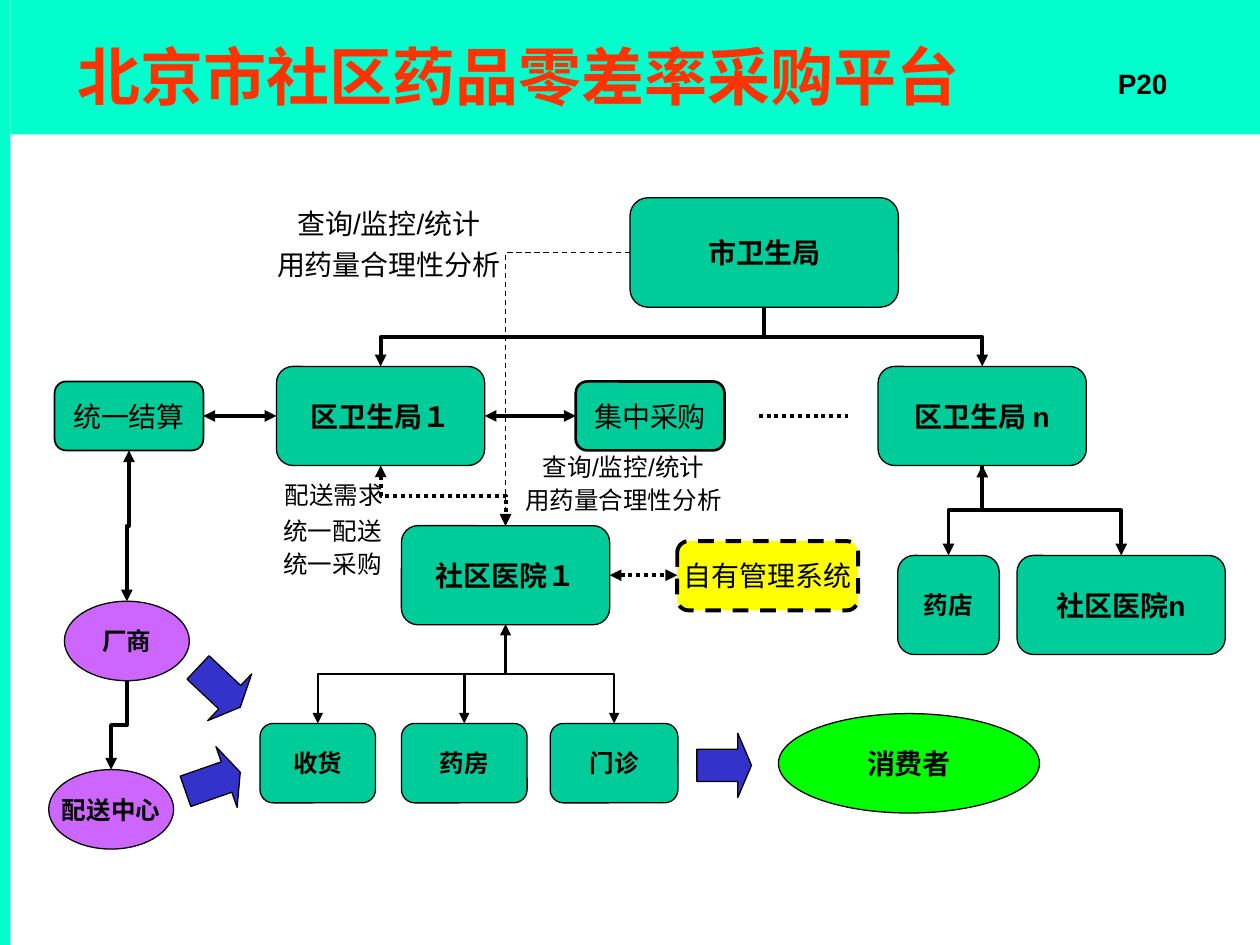
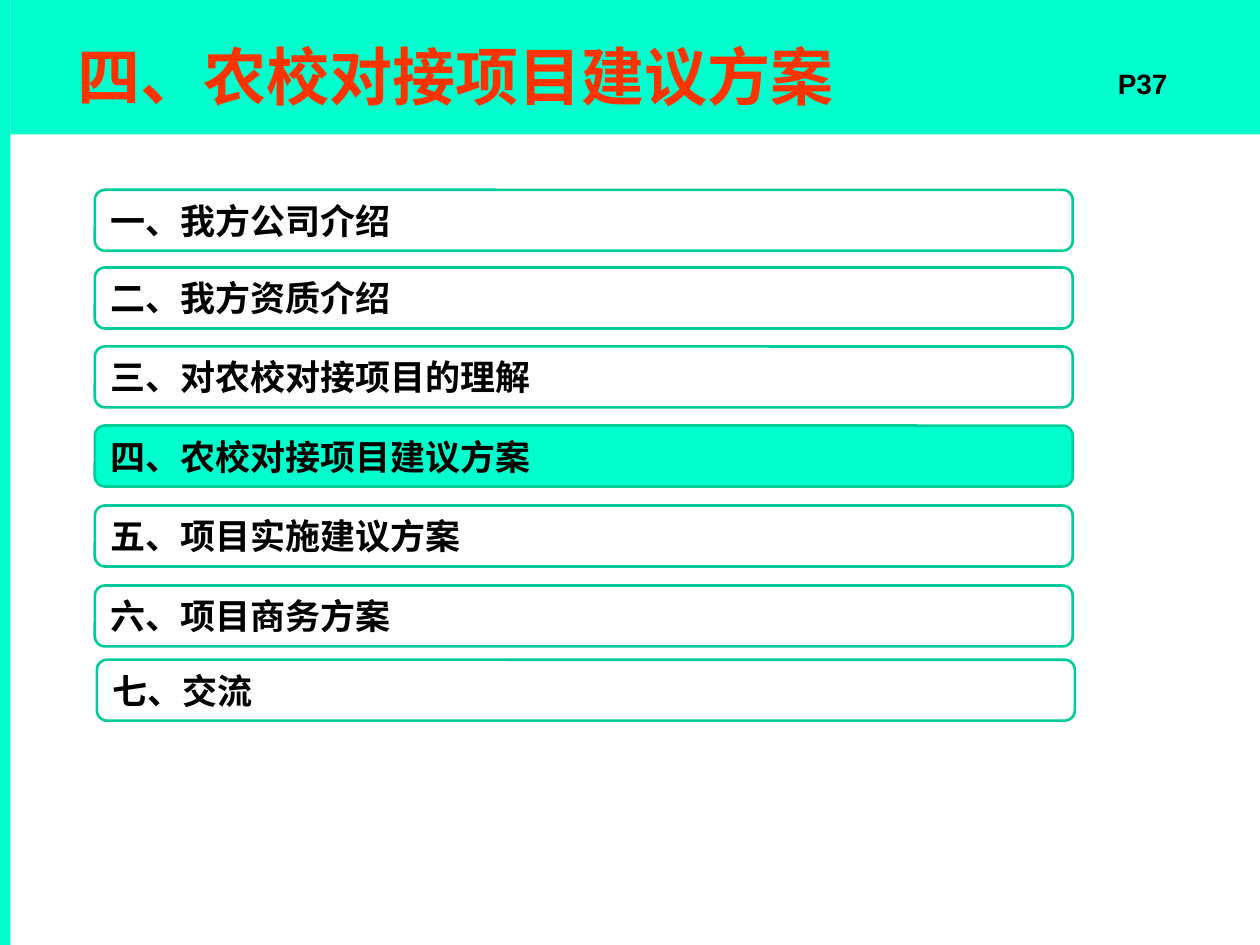
from dataclasses import dataclass

from lxml import etree
from pptx import Presentation
from pptx.dml.color import RGBColor
from pptx.enum.dml import MSO_LINE
from pptx.enum.shapes import MSO_CONNECTOR, MSO_SHAPE
from pptx.enum.text import MSO_ANCHOR, MSO_AUTO_SIZE, PP_ALIGN
from pptx.oxml.ns import qn
from pptx.util import Pt

RECT, ROUND = MSO_SHAPE.RECTANGLE, MSO_SHAPE.ROUNDED_RECTANGLE
OVAL, ARROW = MSO_SHAPE.OVAL, MSO_SHAPE.RIGHT_ARROW
STRAIGHT, ELBOW = MSO_CONNECTOR.STRAIGHT, MSO_CONNECTOR.ELBOW
DASH, DOT = MSO_LINE.DASH, MSO_LINE.ROUND_DOT
LEFT, CENTER = PP_ALIGN.LEFT, PP_ALIGN.CENTER
TOP, MIDDLE = MSO_ANCHOR.TOP, MSO_ANCHOR.MIDDLE
TITLE_ONLY = 5


@dataclass(frozen=True)
class Theme:
    band: str = "00FFCC"
    title: str = "FF3300"
    ink: str = "000000"
    unit: str = "00CC99"
    supplier: str = "CC66FF"
    consumer: str = "00FF00"
    own_system: str = "FFFF00"
    flow: str = "3333CC"
    latin: str = "Arial"
    cjk: str = "Noto Sans CJK SC"
    title_size: int = 36
    agenda_size: int = 20
    large: int = 16
    small: int = 14


THEME = Theme()

# Content: procurement platform
PLATFORM_TITLE, PLATFORM_PAGE = "北京市社区药品零差率采购平台", "P20"

# text: (left, top, width, height), then whatever differs from a bold green box
UNITS = {
    "市卫生局": ((360, 113, 153.4, 62.6), {}),
    "区卫生局１": ((158, 209.4, 119, 56.6), {}),
    "区卫生局 n": ((501.8, 209.4, 119, 56.6), {}),
    "社区医院n": ((581.2, 317.4, 119, 56.6), {}),
    "社区医院１": ((229.4, 300.4, 119, 56.6), {}),
    "药店": ((513, 317.4, 58, 56.6), {"size": THEME.small}),
    "收货": ((148.6, 413.4, 66, 45.4), {"size": THEME.small}),
    "药房": ((229.4, 413.4, 71.8, 45.4), {"size": THEME.small}),
    "门诊": ((314.4, 413.4, 73, 45.4), {"size": THEME.small}),
    "统一结算": ((31.2, 218, 85, 39.4), {"bold": False, "weight": 1}),
    "集中采购": ((329, 218, 85, 39.4), {"bold": False, "weight": 1.5}),
    "自有管理系统": ((387, 309.2, 103.4, 39.6), {
        "bold": False, "fill": THEME.own_system, "weight": 2.25, "dash": DASH}),
    "厂商": ((36.8, 343.6, 71.4, 45.4), {
        "kind": OVAL, "fill": THEME.supplier, "size": THEME.small}),
    "配送中心": ((27.8, 439.8, 71.4, 45.4), {
        "kind": OVAL, "fill": THEME.supplier, "size": THEME.small}),
    "消费者": ((444.8, 407.8, 149.2, 56.8), {"kind": OVAL, "fill": THEME.consumer}),
}

# (upper unit, lower unit, format), joined bottom to top
VERTICAL_LINKS = [
    ("市卫生局", "区卫生局１", {}),
    ("市卫生局", "区卫生局 n", {}),
    ("区卫生局 n", "社区医院n", {"both": True}),
    ("区卫生局 n", "药店", {}),
    ("区卫生局１", "社区医院１", {"both": True, "dash": DOT}),
    ("社区医院１", "收货", {"both": True, "weight": 1.5}),
    ("社区医院１", "药房", {"both": True, "weight": 1.5}),
    ("社区医院１", "门诊", {"both": True, "weight": 1.5}),
    ("统一结算", "厂商", {"both": True}),
    ("厂商", "配送中心", {}),
]

# (left unit, right unit, format), joined side to side
HORIZONTAL_LINKS = [
    ("统一结算", "区卫生局１", {}),
    ("区卫生局１", "集中采购", {}),
    ("社区医院１", "自有管理系统", {"dash": DOT}),
]

ELLIPSIS = ((433.6, 237.7), (484.8, 237.7))

# (left, top, width, height), rotation
FLOW_ARROWS = [
    ((108.7, 374.4, 33.1, 36.7), 43.2),
    ((105.1, 428.4, 33.1, 36.7), 340.8),
    ((398.2, 419, 31.2, 36.7), 0),
]

LARGE_NOTE = {"size": THEME.large, "spacing": 0.7, "before": 10}
SMALL_NOTE = {"size": THEME.small, "spacing": 0.6, "before": 8.8}
NOTES = [
    (["查询/监控/统计", "用药量合理性分析"], (146.2, 119.5, 152, 44), LARGE_NOTE),
    (["查询/监控/统计", "用药量合理性分析"], (275, 260.6, 162.7, 36), SMALL_NOTE),
    (["配送需求"], (109.4, 276.5, 162.7, 17.3), SMALL_NOTE),
    (["统一配送", "统一采购"], (108.7, 297.4, 162.7, 36), SMALL_NOTE),
]

# Content: agenda, as (text, left, top)
AGENDA_TITLE, AGENDA_PAGE = "四、农校对接项目建议方案", "P37"
AGENDA = [
    ("一、我方公司介绍", 54.2, 108.5),
    ("二、我方资质介绍", 54.2, 152.9),
    ("三、对农校对接项目的理解", 54.2, 198),
    ("四、农校对接项目建议方案", 54.2, 243.2),
    ("五、项目实施建议方案", 54.2, 288.9),
    ("六、项目商务方案", 54.2, 334.6),
    ("七、交流", 55.4, 377),
]
AGENDA_SIZE = (558.8, 34.8)


# Drawing helpers
def rgb(value):
    return RGBColor.from_string(value)


def points(*values):
    return [Pt(value) for value in values]


def write(shape, lines, *, size=THEME.large, color=THEME.ink, bold=False,
          latin=THEME.latin, align=CENTER, anchor=MIDDLE, wrap=True,
          spacing=None, before=0):
    frame = shape.text_frame
    frame.auto_size = MSO_AUTO_SIZE.NONE
    frame.word_wrap = wrap
    frame.vertical_anchor = anchor
    for index, line in enumerate(lines):
        paragraph = frame.add_paragraph() if index else frame.paragraphs[0]
        paragraph.alignment = align
        paragraph.line_spacing = spacing
        paragraph.space_before = Pt(before if index else 0)
        run = paragraph.add_run()
        run.text = line
        font = run.font
        font.name, font.size, font.bold = latin, Pt(size), bold
        font.color.rgb = rgb(color)
        east_asian = etree.Element(qn("a:ea"), typeface=THEME.cjk)
        run._r.rPr.find(qn("a:latin")).addnext(east_asian)


def draw(slide, kind, box, *, fill=None, line=None, weight=0.75, dash=None):
    shape = slide.shapes.add_shape(kind, *points(*box))
    shape.shadow.inherit = False
    if fill:
        shape.fill.solid()
        shape.fill.fore_color.rgb = rgb(fill)
    else:
        shape.fill.background()
    if line:
        shape.line.color.rgb = rgb(line)
        shape.line.width = Pt(weight)
        shape.line.dash_style = dash
    else:
        shape.line.fill.background()
    return shape


def connect(slide, kind, start, end, *, weight=2.25, dash=None, both=False, arrow=True):
    link = slide.shapes.add_connector(kind, *points(*start, *end))
    link.line.color.rgb = rgb(THEME.ink)
    link.line.width = Pt(weight)
    link.line.dash_style = dash
    outline = link.line._get_or_add_ln()
    if both:
        etree.SubElement(outline, qn("a:headEnd"), type="triangle")
    if arrow:
        etree.SubElement(outline, qn("a:tailEnd"), type="triangle")
    etree.SubElement(link._element.spPr, qn("a:effectLst"))
    return link


def connect_down(slide, start, end, **style):
    """Elbow that leaves and arrives vertically: a quarter-turned connector."""
    link = connect(slide, ELBOW, start, end, **style)
    across, down = abs(end[0] - start[0]), end[1] - start[1]
    middle_x, middle_y = (start[0] + end[0]) / 2, (start[1] + end[1]) / 2
    link.left, link.top, link.width, link.height = points(
        middle_x - down / 2, middle_y - across / 2, down, across)
    frame = link._element.spPr.find(qn("a:xfrm"))
    goes_right = end[0] > start[0]
    frame.set("rot", str((270 if goes_right else 90) * 60000))
    frame.set("flipH", "1" if goes_right else "0")
    frame.set("flipV", "0")


def side(unit, x, y):
    """Point of a unit at the given fractions of its width and height."""
    left, top, width, height = UNITS[unit][0]
    return left + x * width, top + y * height


def new_slide(deck, title, page):
    slide = deck.slides.add_slide(deck.slide_layouts[TITLE_ONLY])
    draw(slide, RECT, (6, 0, 714, 76.8), fill=THEME.band)
    draw(slide, RECT, (0, 0, 6, 540), fill=THEME.band)
    number = slide.shapes.add_textbox(*points(624.2, 34.6, 57.6, 26.6))
    write(number, [page], bold=True, anchor=TOP)
    heading = slide.shapes.title
    heading.left, heading.top, heading.width, heading.height = points(37, 11, 574.6, 64)
    slide.shapes._spTree.append(heading._element)  # above the band
    write(heading, [title], size=THEME.title_size, color=THEME.title,
          bold=True, align=LEFT)
    return slide


# Slides
def build_platform(deck):
    slide = new_slide(deck, PLATFORM_TITLE, PLATFORM_PAGE)
    for text, (box, style) in UNITS.items():
        look = {"kind": ROUND, "fill": THEME.unit, "size": THEME.large,
                "bold": True, **style}
        size, bold = look.pop("size"), look.pop("bold")
        unit = draw(slide, look.pop("kind"), box, line=THEME.ink, **look)
        write(unit, [text], size=size, bold=bold, wrap=False)

    for upper, lower, style in VERTICAL_LINKS:
        connect_down(slide, side(upper, 0.5, 1), side(lower, 0.5, 0), **style)
    for first, second, style in HORIZONTAL_LINKS:
        start, end = side(first, 1, 0.5), side(second, 0, 0.5)
        connect(slide, STRAIGHT, start, (end[0], start[1]), both=True, **style)
    connect(slide, STRAIGHT, *ELLIPSIS, dash=DOT, arrow=False)

    # Supervision line: left from the city bureau, then down to the hospital
    supervision = connect(slide, ELBOW, side("市卫生局", 0, 0.5),
                          side("社区医院１", 0.5, 0), weight=0.75, dash=DASH)
    geometry = supervision._element.spPr.find(qn("a:prstGeom"))
    geometry.set("prst", "bentConnector2")

    for box, rotation in FLOW_ARROWS:
        flow = draw(slide, ARROW, box, fill=THEME.flow, line=THEME.ink)
        flow.adjustments[1] = 0.25
        flow.rotation = rotation
    for lines, box, style in NOTES:
        note = slide.shapes.add_textbox(*points(*box))
        write(note, lines, anchor=TOP, **style)


def build_agenda(deck):
    slide = new_slide(deck, AGENDA_TITLE, AGENDA_PAGE)
    for text, left, top in AGENDA:
        current = THEME.band if text == AGENDA_TITLE else None
        item = draw(slide, ROUND, (left, top, *AGENDA_SIZE), fill=current,
                    line=THEME.unit, weight=1.5)
        write(item, [text], size=THEME.agenda_size, bold=True,
              latin=THEME.cjk, align=LEFT)


def main():
    deck = Presentation()
    deck.slide_width, deck.slide_height = points(720, 540)
    build_platform(deck)
    build_agenda(deck)
    deck.save("out.pptx")


if __name__ == "__main__":
    main()
